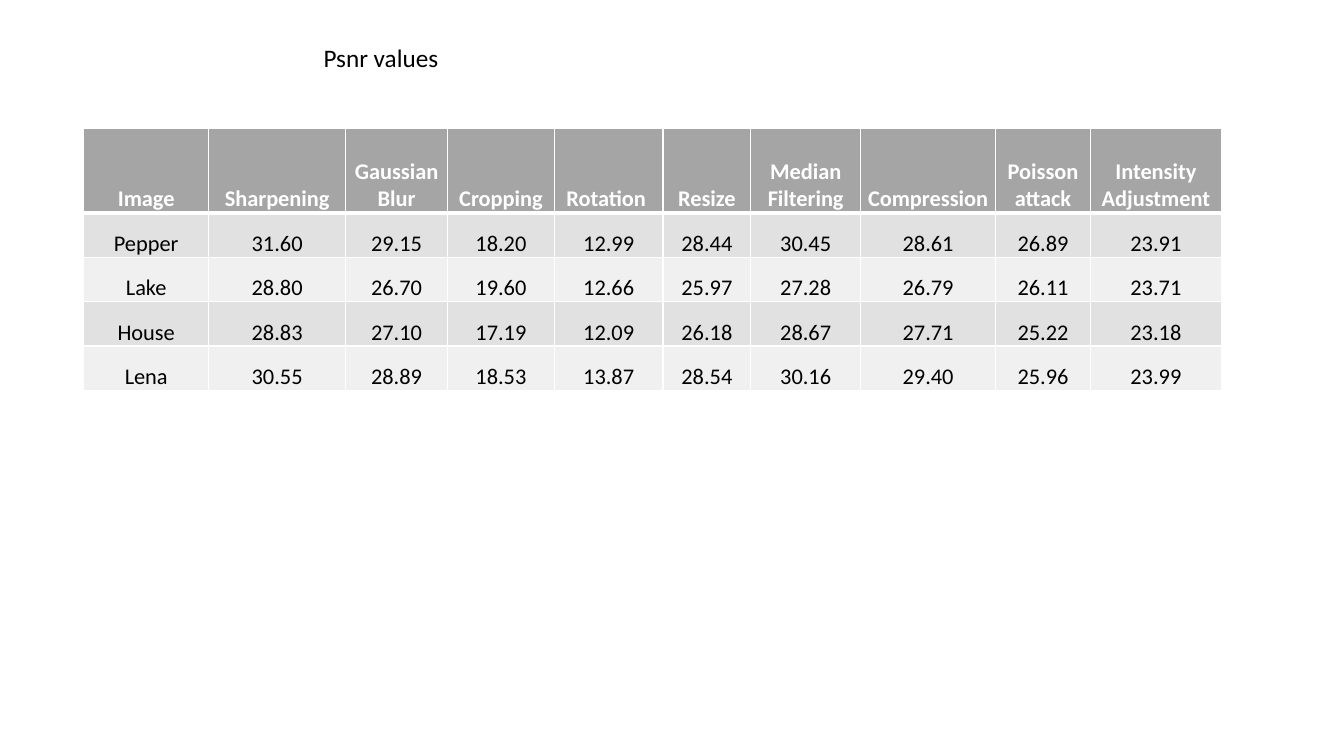
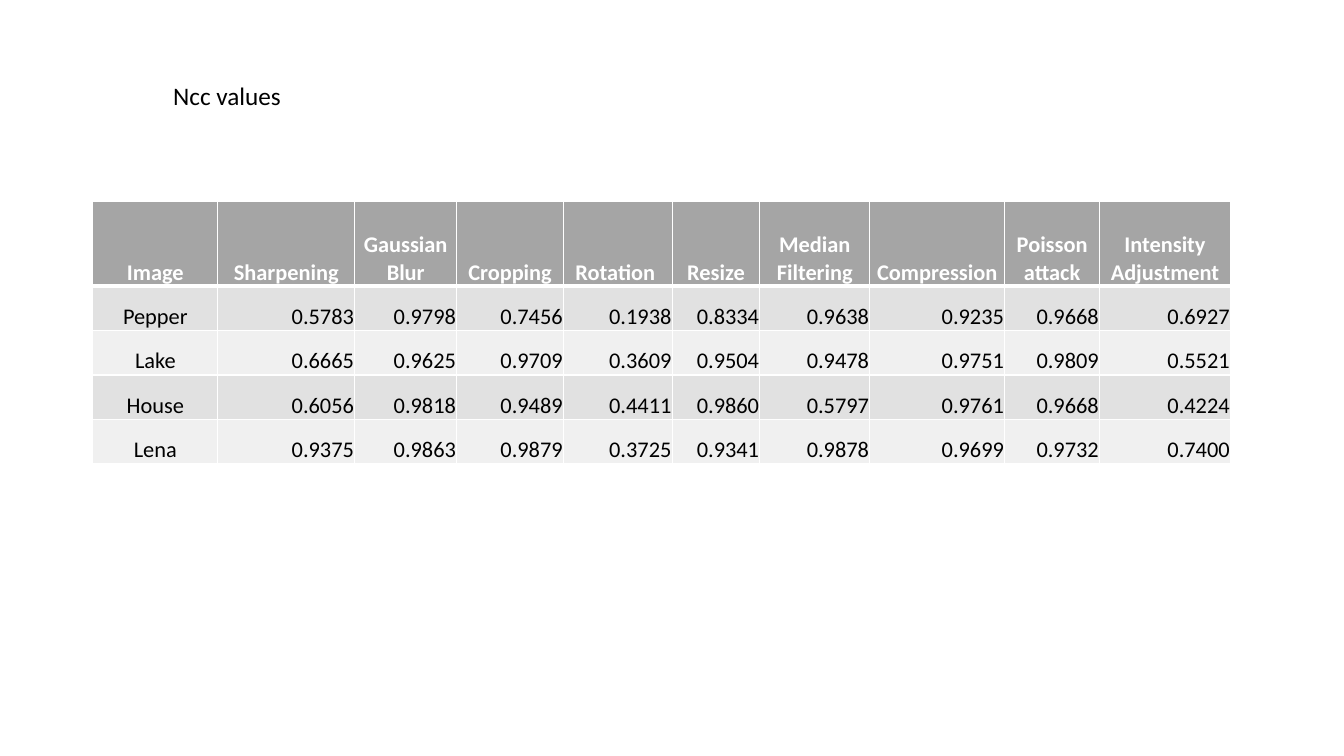
"""Build two slides with tables of PSNR and NCC values per image and attack."""
from lxml import etree
from pptx import Presentation
from pptx import util as u
from pptx.dml.color import RGBColor
from pptx.enum import text
from pptx.oxml.ns import qn

COLORS = {"header": "A5A5A5", "odd": "E1E1E1", "even": "F0F0F0",
          "white": "FFFFFF", "black": "000000"}
FONT = "Calibri"
HEADERS = ["Image", "Sharpening", "Gaussian Blur", "Cropping", "Rotation ", "Resize",
           "Median Filtering", "Compression", "Poisson attack", "Intensity Adjustment"]
COL_WIDTHS = [3.15, 3.45, 2.57, 2.69, 2.74, 2.21, 2.77, 3.4, 2.39, 3.3]
ROW_HEIGHTS = [2.13, 1.12, 1.12, 1.12, 1.12]
LEFT, CENTER, RIGHT = (text.PP_ALIGN.LEFT, text.PP_ALIGN.CENTER, text.PP_ALIGN.RIGHT)

PSNR = [
    ["Pepper", "31.60", "29.15", "18.20", "12.99", "28.44", "30.45", "28.61", "26.89", "23.91"],
    ["Lake", "28.80", "26.70", "19.60", "12.66", "25.97", "27.28", "26.79", "26.11", "23.71"],
    ["House", "28.83", "27.10", "17.19", "12.09", "26.18", "28.67", "27.71", "25.22", "23.18"],
    ["Lena", "30.55", "28.89", "18.53", "13.87", "28.54", "30.16", "29.40", "25.96", "23.99"],
]
NCC = [
    ["Pepper", "0.5783", "0.9798", "0.7456", "0.1938", "0.8334", "0.9638", "0.9235", "0.9668", "0.6927"],
    ["Lake", "0.6665", "0.9625", "0.9709", "0.3609", "0.9504", "0.9478", "0.9751", "0.9809", "0.5521"],
    ["House", "0.6056", "0.9818", "0.9489", "0.4411", "0.9860", "0.5797", "0.9761", "0.9668", "0.4224"],
    ["Lena", "0.9375", "0.9863", "0.9879", "0.3725", "0.9341", "0.9878", "0.9699", "0.9732", "0.7400"],
]
SLIDES = [
    {"title": "Psnr values", "title_box": (7.9, 0.94, 10.69, 1.03),
     "table_at": (2.11, 3.23), "rows": PSNR, "align": CENTER},
    {"title": "Ncc values", "title_box": (4.11, 1.9, 12.7, 1.8),
     "table_at": (2.34, 5.08), "rows": NCC, "align": RIGHT},
]


def write(tf, content, size=16, color="black", bold=False, align=LEFT):
    p = tf.paragraphs[0]
    p.alignment = align
    r = p.add_run()
    r.text = content
    r.font.name, r.font.size, r.font.bold = FONT, u.Pt(size), bold
    r.font.color.rgb = RGBColor.from_string(COLORS[color])


def add_borders(cell, **widths):
    tcPr = cell._tc.get_or_add_tcPr()
    for side in "LRTB":
        ln = etree.SubElement(tcPr, qn(f"a:ln{side}"), w=str(u.Pt(widths.get(side, 1))))
        fill = etree.SubElement(ln, qn("a:solidFill"))
        etree.SubElement(fill, qn("a:srgbClr"), val=COLORS["white"])


def add_title(s, content, box):
    sp = s.shapes.title
    sp.left, sp.top, sp.width, sp.height = map(u.Cm, box)
    tf = sp.text_frame
    tf.word_wrap = True
    tf.auto_size = text.MSO_AUTO_SIZE.SHAPE_TO_FIT_TEXT
    tf.vertical_anchor = text.MSO_ANCHOR.TOP
    write(tf, content, size=18)


def add_values(s, at, rows, align):
    size = (sum(COL_WIDTHS), sum(ROW_HEIGHTS))
    table = s.shapes.add_table(len(ROW_HEIGHTS), len(COL_WIDTHS), *map(u.Cm, at + size)).table
    for col, width in zip(table.columns, COL_WIDTHS):
        col.width = u.Cm(width)
    for row, height in zip(table.rows, ROW_HEIGHTS):
        row.height = u.Cm(height)
    for i, values in enumerate([HEADERS] + rows):
        head = i == 0
        band = "header" if head else "odd" if i % 2 else "even"
        for j, value in enumerate(values):
            cell = table.cell(i, j)
            cell.margin_left = cell.margin_right = cell.margin_top = u.Cm(0.02)
            cell.margin_bottom = 0
            cell.vertical_anchor = text.MSO_ANCHOR.BOTTOM
            add_borders(cell, B=3 if head else 1, T=3 if i == 1 else 1)
            cell.fill.solid()
            cell.fill.fore_color.rgb = RGBColor.from_string(COLORS[band])
            write(cell.text_frame, value, color="white" if head else "black", bold=head,
                  align=CENTER if head or j == 0 else align)


prs = Presentation()
prs.slide_width, prs.slide_height = u.Cm(33.87), u.Cm(19.05)
for item in SLIDES:
    s = prs.slides.add_slide(prs.slide_layouts[5])
    add_title(s, item["title"], item["title_box"])
    add_values(s, item["table_at"], item["rows"], item["align"])
prs.save("out.pptx")
